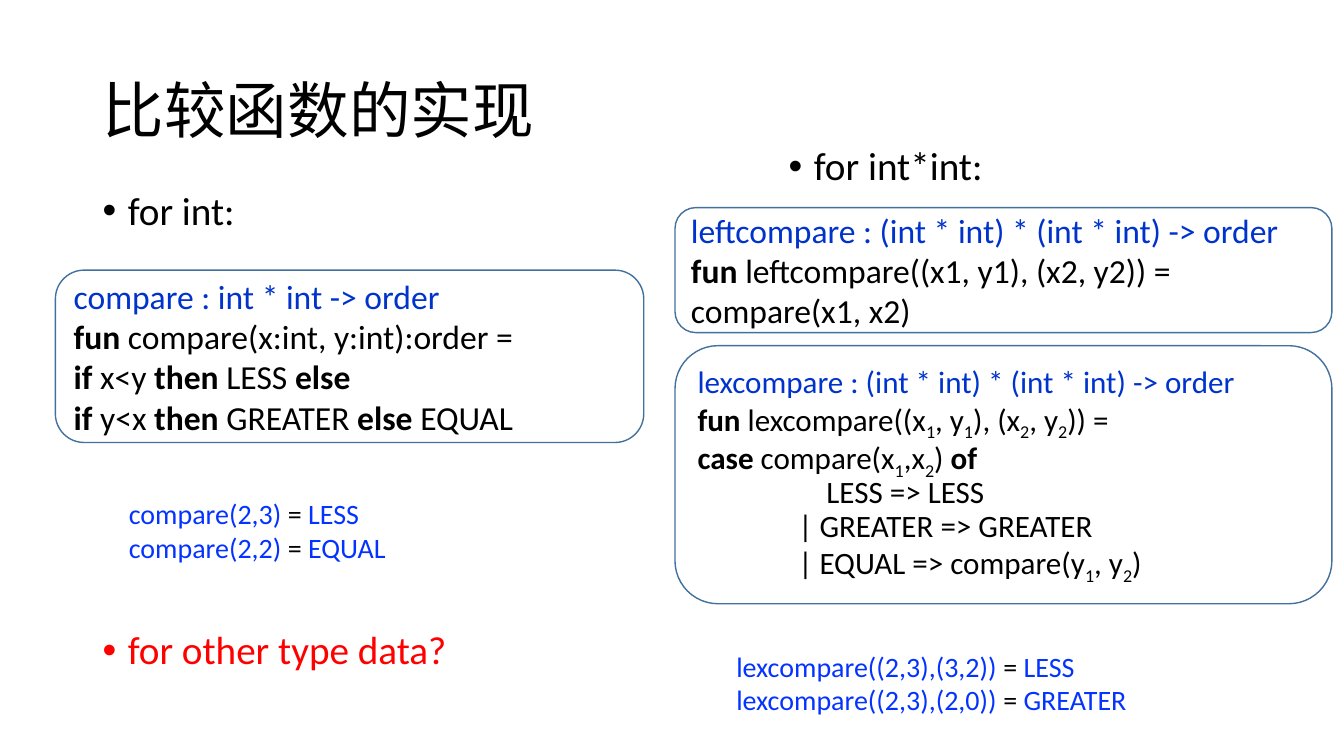
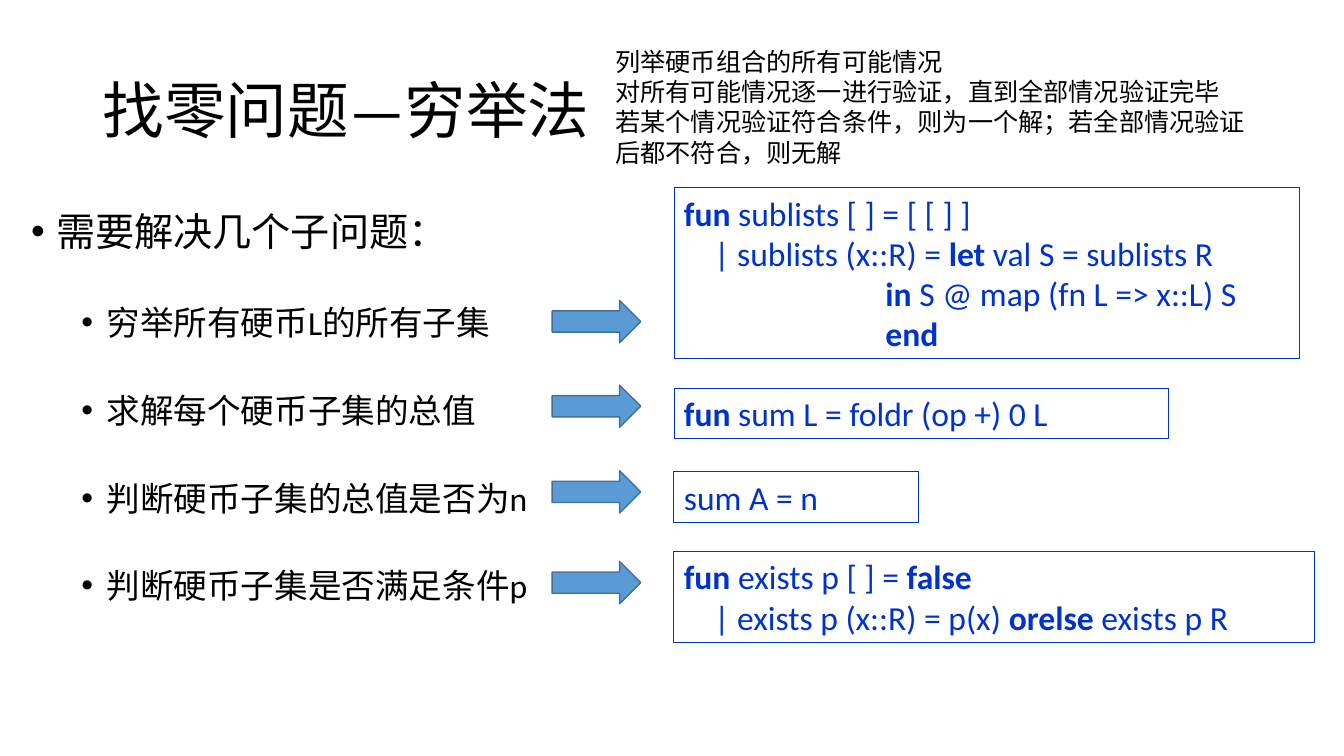
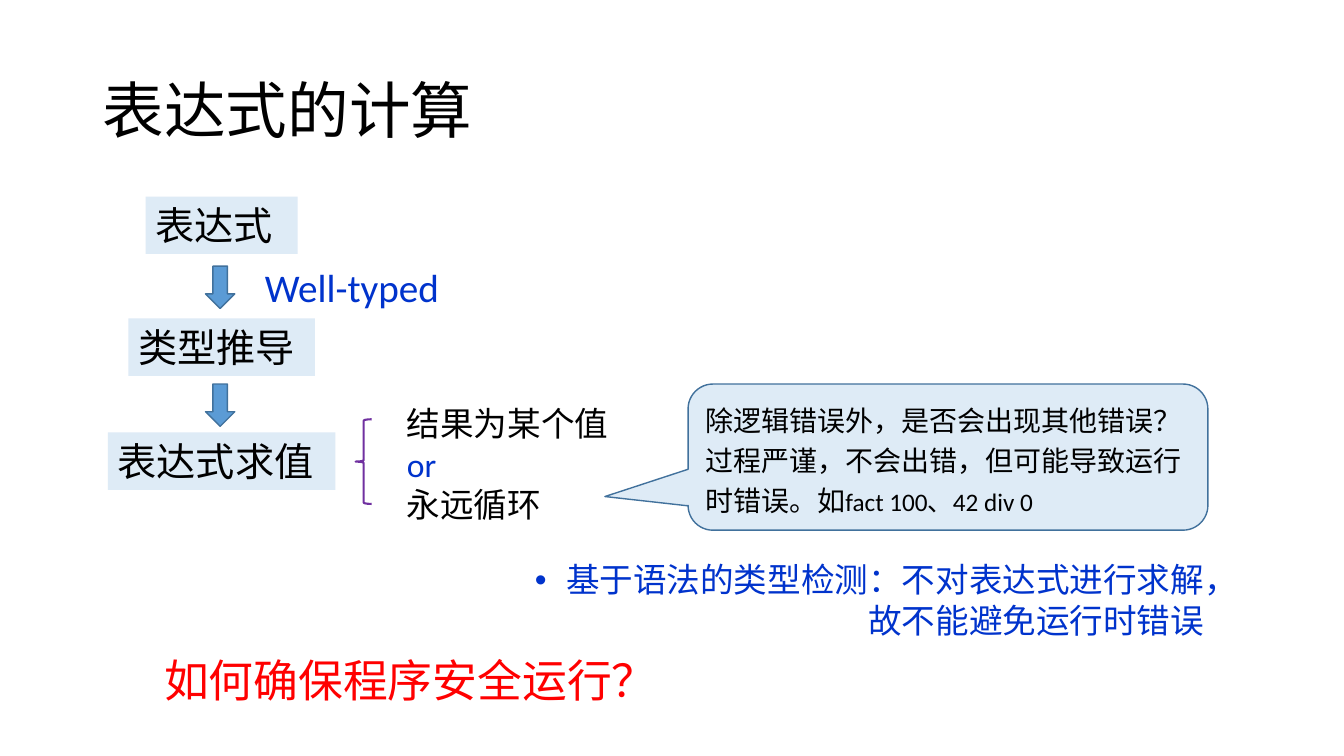
from dataclasses import dataclass, replace
from typing import Any, Optional

from lxml import etree
from pptx import Presentation
from pptx.dml.color import RGBColor
from pptx.enum.shapes import MSO_SHAPE
from pptx.enum.text import MSO_ANCHOR, PP_ALIGN
from pptx.oxml.ns import qn
from pptx.util import Inches, Pt

RECT = MSO_SHAPE.RECTANGLE
ROUND = MSO_SHAPE.ROUNDED_RECTANGLE
RIGHT = MSO_SHAPE.RIGHT_ARROW
DOWN = MSO_SHAPE.DOWN_ARROW
BRACE = MSO_SHAPE.LEFT_BRACE
BUBBLE = MSO_SHAPE.ROUNDED_RECTANGULAR_CALLOUT
TOP, MIDDLE = MSO_ANCHOR.TOP, MSO_ANCHOR.MIDDLE
LEFT = PP_ALIGN.LEFT

COLORS = {
    "black": "000000", "blue": "0033CC", "vivid": "0433FF", "red": "FF0000",
    "edge": "41719C", "arrow": "5B9BD5", "pale": "DEEBF6", "purple": "7030A0",
}
SANS, CJK, ARIAL = "Calibri", "Noto Sans CJK SC", "Arial"

# Each mark switches its format on and off inside a line of text.
MARKS: dict[str, dict[str, Any]] = {
    "`": {"bold": True},
    "~": {"color": "black"},
    "^": {"base": "-25000"},
    "#": {"size": 18},
}


@dataclass(frozen=True)
class Line:
    text: str
    color: Optional[str] = None
    font: Optional[str] = None
    size: Optional[float] = None
    left: float = 0
    hang: float = 0
    gap: Optional[float] = None
    before: float = 0


@dataclass(frozen=True)
class Box:
    at: tuple[float, float, float, float]
    lines: tuple[Line, ...] = ()
    shape: Any = None
    size: float = 24
    color: str = "black"
    font: str = SANS
    fill: Optional[str] = None
    edge: Optional[str] = None
    width: float = 1
    anchor: Any = TOP
    adjust: tuple[float, ...] = ()


def rgb(name: str) -> RGBColor:
    return RGBColor.from_string(COLORS[name])


def apply(target: Any, values: dict[str, Any]) -> None:
    for name, value in values.items():
        setattr(target, name, value)


def place(shape: Any, at: tuple[float, float, float, float]) -> None:
    names = ("left", "top", "width", "height")
    apply(shape, {n: Inches(v) for n, v in zip(names, at)})


def split(text: str) -> list[tuple[str, dict[str, Any]]]:
    """Cut marked text into pieces, each with its format."""
    parts: list[tuple[str, dict[str, Any]]] = []
    live: set[str] = set()
    piece = ""
    for char in text + "\0":
        if char not in MARKS and char != "\0":
            piece += char
            continue
        if piece:
            form = {k: v for m in live for k, v in MARKS[m].items()}
            parts.append((piece, form))
        piece = ""
        live ^= {char}
    return parts


def add_run(para: Any, text: str, form: dict[str, Any]) -> None:
    run = para.add_run()
    run.text = text
    apply(run.font, {"name": form["font"], "size": Pt(form["size"]),
                     "bold": form.get("bold", False)})
    run.font.color.rgb = rgb(form["color"])
    props = run._r.get_or_add_rPr()
    if "base" in form:
        props.set("baseline", form["base"])
    props.find(qn("a:latin")).addnext(
        etree.Element(qn("a:ea"), {"typeface": SANS}))


def add_bullet(para: Any) -> None:
    props = para._p.get_or_add_pPr()
    etree.SubElement(props, qn("a:buFont"), {"typeface": ARIAL})
    etree.SubElement(props, qn("a:buChar"), {"char": "•"})


def write(frame: Any, box: Box) -> None:
    apply(frame, {"word_wrap": True, "vertical_anchor": box.anchor})
    for i, line in enumerate(box.lines):
        para = frame.add_paragraph() if i else frame.paragraphs[0]
        apply(para, {"alignment": LEFT, "line_spacing": line.gap,
                     "space_before": Pt(line.before)})
        props = para._p.get_or_add_pPr()
        props.set("marL", str(Inches(line.left)))
        props.set("indent", str(-Inches(line.hang)))
        if line.hang:
            add_bullet(para)
        base = {"color": line.color or box.color,
                "font": line.font or box.font,
                "size": line.size or box.size}
        for text, form in split(line.text):
            add_run(para, text, base | form)


def draw(slide: Any, box: Box) -> None:
    at = [Inches(v) for v in box.at]
    if box.shape is None:
        shape = slide.shapes.add_textbox(*at)
    else:
        shape = slide.shapes.add_shape(box.shape, *at)
        shape.shadow.inherit = False
        for i, value in enumerate(box.adjust):
            shape.adjustments[i] = value
        if box.fill:
            shape.fill.solid()
            shape.fill.fore_color.rgb = rgb(box.fill)
        else:
            shape.fill.background()
        if box.edge:
            shape.line.color.rgb = rgb(box.edge)
            shape.line.width = Pt(box.width)
        else:
            shape.line.fill.background()
    if box.lines:
        write(shape.text_frame, box)


def add_slide(deck: Any, title: str, boxes: list[Box]) -> None:
    slide = deck.slides.add_slide(deck.slide_layouts[5])
    head = Box((0.92, 0.4, 11.5, 1.45), (Line(title, gap=0.9),), size=44,
               anchor=MIDDLE)
    place(slide.shapes.title, head.at)
    write(slide.shapes.title.text_frame, head)
    for box in boxes:
        draw(slide, box)


def rows(*texts: str) -> tuple[Line, ...]:
    return tuple(Line(t) for t in texts)


def point(text: str) -> Line:
    return Line(text, size=28, left=0.25, hang=0.25, gap=0.9, before=10)


def panel(at: tuple[float, float, float, float], *lines: Line,
          size: float = 24) -> Box:
    """Rounded code panel whose first line is the blue type."""
    first = replace(lines[0], color="blue")
    return Box(at, (first, *lines[1:]), ROUND, size, edge="edge",
               anchor=MIDDLE)


def code(top: float, width: float, height: float, *lines: Line) -> Box:
    return Box((6.69, top, width, height), lines, RECT, color="blue",
               edge="blue", width=0.75)


def arrow(kind: Any, *at: float) -> Box:
    return Box(at, shape=kind, fill="arrow", edge="edge")


def step(mid: float, top: float, width: float, text: str) -> Box:
    return Box((mid - width / 2, top, width, 0.57), rows(text), RECT, 28,
               font=CJK, fill="pale")


def compare_slide(deck: Any) -> None:
    lex = [
        Line("lexcompare : (int * int) * (int * int) -> order"),
        Line("`fun` lexcompare((x^1^, y^1^), (x^2^, y^2^)) ="),
        Line("`case` compare(x^1^,x^2^) `of`"),
        Line("LESS => LESS", left=1.28),
        Line("| GREATER => GREATER", left=1),
        Line("| EQUAL => compare(y^1^, y^2^)", left=1),
    ]
    add_slide(deck, "比较函数的实现", [
        Box((0.92, 1.85, 2.82, 0.65), (point("for int:"),)),
        panel((0.55, 2.68, 5.84, 1.71), *rows(
            "compare : int * int -> order",
            "`fun` compare(x:int, y:int):order =",
            "`if` x<y `then` LESS `else`",
            "`if` y<x `then` GREATER `else` EQUAL")),
        Box((1.18, 4.88, 3.07, 0.77), rows(
            "compare(2,3) ~= ~LESS",
            "compare(2,2) ~= ~EQUAL"), size=20, color="vivid"),
        Box((7.73, 1.41, 2.82, 0.65), (point("for int*int:"),)),
        panel((6.7, 2.06, 6.52, 1.24), *rows(
            "leftcompare : (int * int) * (int * int) -> order",
            "`fun` leftcompare((x1, y1), (x2, y2)) = compare(x1, x2)")),
        panel((6.7, 3.43, 6.52, 2.56),
              *(replace(line, gap=0.9) for line in lex), size=22.2),
        Box((7.21, 6.39, 6, 0.77), rows(
            "lexcompare((2,3),(3,2)) ~= ~LESS",
            "lexcompare((2,3),(2,0)) ~= ~GREATER"), size=20, color="vivid"),
        Box((0.92, 6.21, 4.58, 0.65), (point("for other type data?"),),
            color="red"),
    ])


def coins_slide(deck: Any) -> None:
    tasks = ("穷举所有硬币L的所有子集", "求解每个硬币子集的总值",
             "判断硬币子集的总值是否为n", "判断硬币子集是否满足条件p")
    subs = (Line(t, left=0.75, hang=0.25, gap=2, before=5) for t in tasks)
    add_slide(deck, "找零问题—穷举法", [
        Box((0.21, 2.06, 5.78, 4.34),
            (point("需要解决几个子问题："), *subs)),
        *(arrow(RIGHT, 5.48, top, 0.88, 0.42)
          for top in (2.98, 3.82, 4.67, 5.57)),
        code(1.86, 6.21, 1.7,
             Line("`fun` sublists [ ] = [ [ ] ]"),
             Line("| sublists (x::R) = `let` val S = sublists R", left=0.3),
             Line("`in `S @ map (fn L => x::L) S", left=2),
             Line("`end`", left=2)),
        code(3.85, 4.91, 0.5, Line("`fun `sum L = foldr (op +) 0 L")),
        code(4.68, 2.43, 0.5, Line("sum A = n")),
        code(5.47, 6.36, 0.9,
             Line("`fun` exists p [ ] = `false`"),
             Line("| exists p (x::R) = p(x) `orelse` exists p R", left=0.3)),
        Box((6.01, 0.41, 6.52, 1.3), rows(
            "列举硬币组合的所有可能情况",
            "对所有可能情况逐一进行验证，直到全部情况验证完毕",
            "若某个情况验证符合条件，则为一个解；若全部情况验证后都不符合，则无解"),
            size=18, font=ARIAL),
    ])


def eval_slide(deck: Any) -> None:
    mid = 2.2
    add_slide(deck, "表达式的计算", [
        Box((1.53, 6.43, 5.3, 0.64), rows("如何确保程序安全运行？"), size=32,
            color="red", font=CJK),
        step(mid, 1.95, 1.51, "表达式"),
        step(mid, 3.16, 1.85, "类型推导"),
        step(mid, 4.29, 2.26, "表达式求值"),
        *(arrow(DOWN, 2.04, top, 0.29, 0.42) for top in (2.64, 3.81)),
        Box((2.53, 2.56, 2.31, 0.57), rows("Well-typed"), size=28,
            color="blue"),
        Box((3.53, 4.16, 0.16, 0.84), shape=BRACE, edge="purple", width=1.5),
        Box((3.94, 3.95, 2.54, 1.3),
            (Line("结果为某个值"), Line("or", "blue", SANS),
             Line("永远循环")), font=CJK),
        Box((6.83, 3.81, 5.16, 1.45),
            (Line("除逻辑错误外，是否会出现其他错误？", gap=1.2),
             Line("过程严谨，不会出错，但可能导致运行时错误。如"
                  "#fact 100、42 div 0#", gap=1.2)),
            BUBBLE, 20, fill="pale", edge="edge", anchor=MIDDLE,
            adjust=(-0.66, 0.27, 0.17)),
        Box((5.21, 5.5, 7.32, 1.3),
            (Line("基于语法的类型检测：不对表达式进行求解，", left=0.31,
                  hang=0.31),
             Line("故不能避免运行时错误", left=3.31)),
            color="blue", font=CJK),
    ])


def main() -> None:
    deck = Presentation()
    apply(deck, {"slide_width": Inches(13.34), "slide_height": Inches(7.5)})
    for build in (compare_slide, coins_slide, eval_slide):
        build(deck)
    deck.save("out.pptx")


if __name__ == "__main__":
    main()
